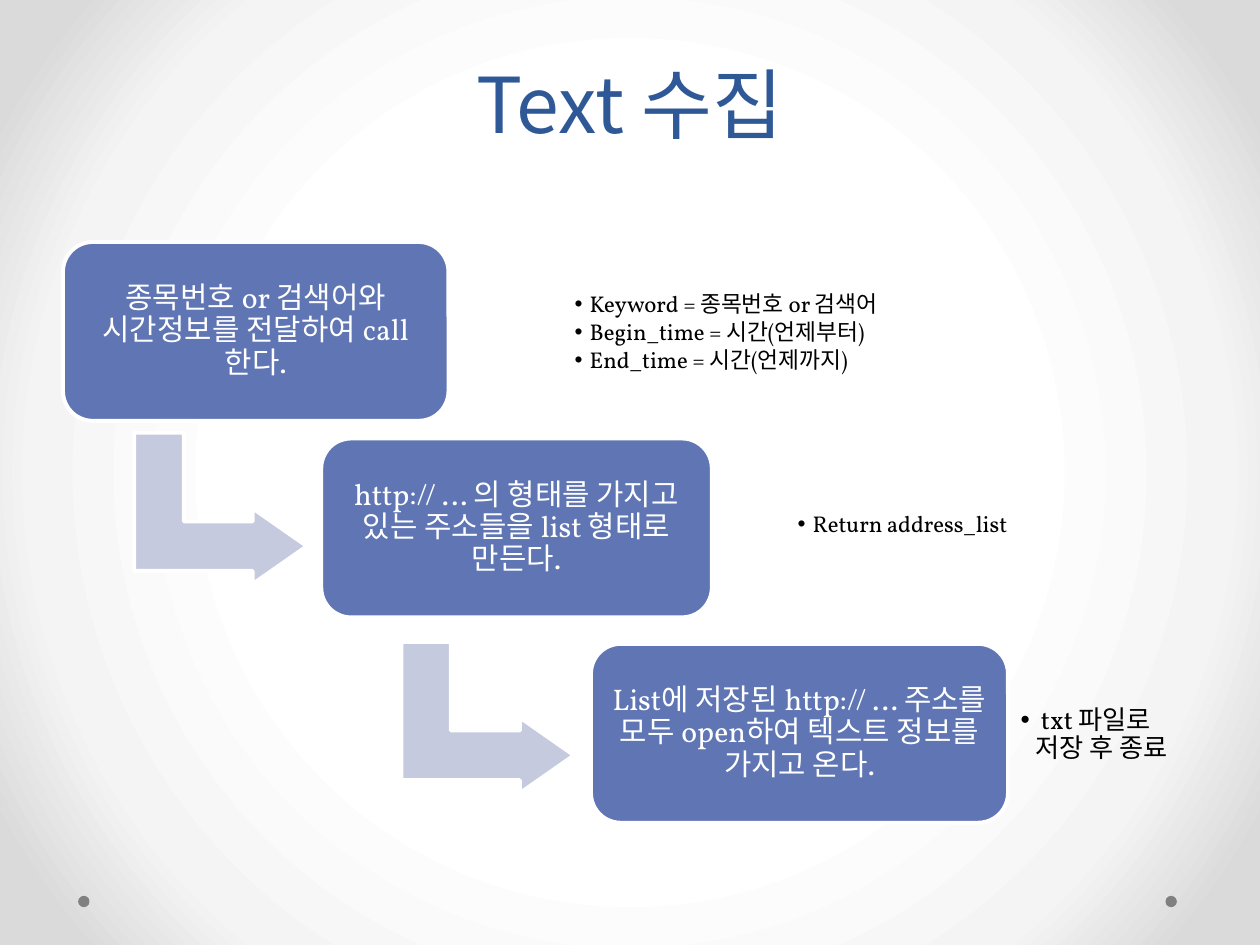
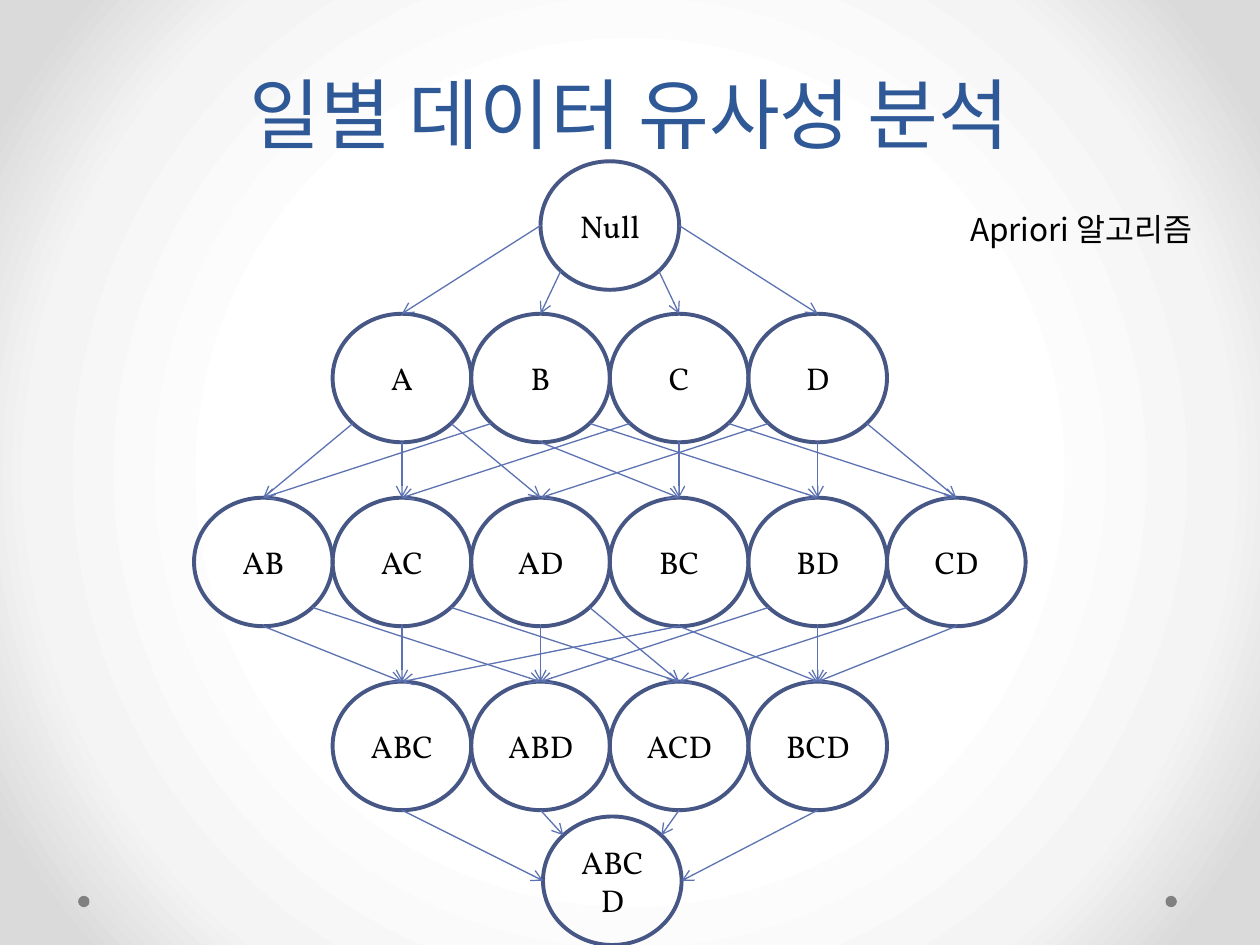
"""Build two slides: a text collection flow and an Apriori itemset lattice."""
from dataclasses import dataclass
from itertools import combinations
from math import cos, radians, sin

from lxml import etree
from pptx import Presentation
from pptx import util as u
from pptx.dml.color import RGBColor
from pptx.enum import shapes, text
from pptx.oxml.ns import qn


@dataclass(frozen=True)
class Theme:
    """Colours, fonts and type sizes of the deck."""
    title: str = "2F5897"
    box: str = "6076B4"
    arrow: str = "C5CADE"
    ring: str = "475785"
    link: str = "5C72B2"
    dot: str = "808080"
    white: str = "FFFFFF"
    black: str = "000000"
    backdrop: tuple = ((50, "FFFFFF"), (76, "F4F4F4"), (92, "DADADA"))
    latin: str = "Vollkorn"
    korean: str = "Noto Sans CJK KR"
    title_size: int = 44
    title_leading: int = 58
    label_size: int = 18
    box_size: int = 17
    list_size: int = 13
    last_list_size: int = 15
    thick: float = 2.25
    thin: float = 0.75


def child(parent, tag, **attrs):
    """Append an XML child with the given attributes."""
    return etree.SubElement(parent, qn(tag), attrs)


def inches(*values):
    """Convert numbers to lengths."""
    return [u.Inches(v) for v in values]


class Deck:
    """Hold the theme and the current slide and draw elements on it."""

    def __init__(self, theme):
        """Start a presentation with the shared background."""
        self.t = theme
        self.prs = Presentation()
        self.prs.slide_width, self.prs.slide_height = inches(10, 7.5)
        self.s = None
        self.backdrop()

    def backdrop(self):
        """Give the master a radial gradient."""
        master = self.prs.slide_master
        master.background.fill.solid()
        solid = master.element.find(".//" + qn("p:bgPr")).find(qn("a:solidFill"))
        grad = etree.Element(qn("a:gradFill"), rotWithShape="1")
        stops = child(grad, "a:gsLst")
        for pos, color in self.t.backdrop:
            child(child(stops, "a:gs", pos=str(pos * 1000)), "a:srgbClr", val=color)
        circle = child(grad, "a:path", path="circle")
        child(circle, "a:fillToRect", l="50000", t="50000", r="50000", b="50000")
        solid.getparent().replace(solid, grad)

    def slide(self, layout, title, height):
        """Add a slide with its title and corner dots."""
        self.s = self.prs.slides.add_slide(self.prs.slide_layouts[layout])
        for x in (0.62, 9.25):
            self.shape(shapes.MSO_SHAPE.OVAL, (x, 7.11, 0.09, 0.09), fill=self.t.dot)
        sp = self.s.shapes.title
        self.place(sp, (0.5, 0, 9, height))
        tf = self.frame(sp, title, text.MSO_ANCHOR.BOTTOM)
        p = tf.paragraphs[0]
        p.line_spacing = u.Pt(self.t.title_leading)
        self.style(p, self.t.title_size, self.t.title, self.t.korean,
                   text.PP_ALIGN.CENTER)

    def place(self, sp, at):
        """Move and size a shape."""
        sp.left, sp.top, sp.width, sp.height = inches(*at)

    def frame(self, sp, words, anchor, inset=None):
        """Fill a text frame and set how it wraps."""
        tf = sp.text_frame
        tf.text = words
        tf.word_wrap = True
        tf.auto_size = text.MSO_AUTO_SIZE.NONE
        tf.vertical_anchor = anchor
        if inset is not None:
            tf.margin_left = tf.margin_right = u.Inches(inset)
            tf.margin_top = tf.margin_bottom = u.Inches(inset)
        return tf

    def style(self, p, size, color, latin, align=text.PP_ALIGN.LEFT):
        """Format a paragraph and its runs."""
        p.alignment = align
        for r in p.runs:
            r.font.size = u.Pt(size)
            r.font.bold = False
            r.font.color.rgb = RGBColor.from_string(color)
            r.font.name = latin
            child(r.font._element, "a:ea", typeface=self.t.korean)

    def shape(self, kind, at, fill=None, line=None):
        """Add a flat preset shape."""
        sp = self.s.shapes.add_shape(kind, *inches(*at))
        sp.shadow.inherit = False
        if fill:
            sp.fill.solid()
            sp.fill.fore_color.rgb = RGBColor.from_string(fill)
        else:
            sp.fill.background()
        if line:
            sp.line.color.rgb = RGBColor.from_string(line)
            sp.line.width = u.Pt(self.t.thick)
        else:
            sp.line.fill.background()
        return sp

    def step(self, at, words):
        """Add a rounded process box."""
        sp = self.shape(shapes.MSO_SHAPE.ROUNDED_RECTANGLE, at, self.t.box, self.t.white)
        p = self.frame(sp, words, text.MSO_ANCHOR.MIDDLE, 0.07).paragraphs[0]
        p.line_spacing = 0.9
        self.style(p, self.t.box_size, self.t.white, self.t.latin, text.PP_ALIGN.CENTER)

    def bent_arrow(self, x, y):
        """Add an arrow that turns from down to right."""
        sp = self.shape(shapes.MSO_SHAPE.BENT_UP_ARROW, (x, y, 1.2, 1.37),
                        self.t.arrow, self.t.white)
        sp.rotation = 90
        for i, value in enumerate((0.328, 0.25, 0.358)):
            sp.adjustments[i] = value

    def bullets(self, sp, at, lines, size):
        """Turn a body placeholder into a bulleted list."""
        self.place(sp, at)
        tf = self.frame(sp, "\n".join(lines), text.MSO_ANCHOR.MIDDLE, 0.07)
        for p in tf.paragraphs:
            p.line_spacing = 0.9
            p.space_before = u.Pt(0)
            p.space_after = u.Pt(2)
            pPr = p._p.get_or_add_pPr()
            pPr.set("marL", str(u.Inches(0.12)))
            pPr.set("indent", str(u.Inches(-0.12)))
            child(pPr, "a:buChar", char="•")
            self.style(p, size, self.t.black, self.t.latin)

    def node(self, at, words):
        """Add a labelled ring."""
        sp = self.shape(shapes.MSO_SHAPE.OVAL, at, line=self.t.ring)
        tf = self.frame(sp, words, text.MSO_ANCHOR.MIDDLE)
        self.style(tf.paragraphs[0], self.t.label_size, self.t.black, self.t.latin,
                   text.PP_ALIGN.CENTER)
        return sp

    def link(self, start, end):
        """Add a thin arrow between two points."""
        line = self.s.shapes.add_connector(shapes.MSO_CONNECTOR.STRAIGHT, *start, *end)
        line.line.color.rgb = RGBColor.from_string(self.t.link)
        line.line.width = u.Pt(self.t.thin)
        child(line.line._get_or_add_ln(), "a:tailEnd", type="arrow")
        child(line._element.spPr, "a:effectLst")

    def note(self, at, words):
        """Add a plain text box."""
        sp = self.s.shapes.add_textbox(*inches(*at))
        tf = self.frame(sp, words, text.MSO_ANCHOR.TOP)
        self.style(tf.paragraphs[0], self.t.label_size, self.t.black, self.t.korean)


COMPASS = {"E": 0, "SE": 45, "S": 90, "SW": 135, "W": 180, "NW": 225, "N": 270, "NE": 315}


def rim(sp, side):
    """Return the point of an ellipse on a compass side."""
    angle = radians(COMPASS[side])
    return (int(sp.left + sp.width / 2 * (1 + cos(angle))),
            int(sp.top + sp.height / 2 * (1 + sin(angle))))


def collection_slide(deck):
    """Show the three steps of text collection."""
    deck.slide(4, "Text 수집", 1.23)
    for x, y in ((1.15, 3.35), (3.27, 5.01)):
        deck.bent_arrow(x, y)
    steps = [
        ((0.5, 1.92, 3.06, 1.42), "종목번호 or 검색어와 시간정보를 전달하여 call한다."),
        ((2.55, 3.48, 3.1, 1.42),
         "http:// … 의 형태를 가지고 있는 주소들을 list 형태로 만든다."),
        ((4.69, 5.11, 3.31, 1.42),
         "List에 저장된 http:// … 주소를 모두 open하여 텍스트 정보를 가지고 온다."),
    ]
    for at, words in steps:
        deck.step(at, words)
    size = deck.t.list_size
    lists = [
        ((4.49, 2.07, 3.57, 1.15), ["Keyword = 종목번호 or 검색어",
                                    "Begin_time = 시간(언제부터)",
                                    "End_time = 시간(언제까지)"], size),
        ((6.26, 3.59, 2.58, 1.15), ["Return address_list"], size),
        ((8.03, 5.26, 1.47, 1.15), [" txt 파일로 저장 후 종료"], deck.t.last_list_size),
    ]
    *bodies, spare = list(deck.s.placeholders)[1:]
    for sp, (at, lines, points) in zip(bodies, lists):
        deck.bullets(sp, at, lines, points)
    spare.element.getparent().remove(spare.element)


def lattice_slide(deck):
    """Show how itemsets grow from the empty set."""
    deck.slide(5, "일별 데이터 유사성 분석", 1.31)
    width, height = 1.1, 1.02
    levels = []
    rows = ((1.28, 4.84), (2.49, 4.84), (3.95, 4.84), (5.41, 4.84), (6.48, 4.86))
    for count, (top, center) in enumerate(rows):
        names = ["".join(c) for c in combinations("ABCD", count)]
        left = center - len(names) * width / 2
        levels.append({
            name: deck.node((left + i * width, top, width, height), name or "Null")
            for i, name in enumerate(names)})

    exits = {"": "W SW SE E", "BC": "S S", "BD": "SW S", "CD": "SW S"}
    exits.update(dict.fromkeys("ABCD", "SW S SE"))
    exits.update(dict.fromkeys(("AB", "AC", "AD"), "S SE"))
    entries = dict(zip(levels[3], ("W", "NW", "NE", "E")))
    for upper, lower in zip(levels, levels[1:]):
        for name, sp in upper.items():
            targets = [lower[n] for n in lower if set(name) <= set(n)]
            for side, target in zip(exits.get(name, "S").split(), targets):
                deck.link(rim(sp, side), rim(target, entries.get(name, "N")))
    deck.note((7.6, 1.62, 2.28, 0.4), "Apriori 알고리즘")


def main():
    """Build and save the deck."""
    deck = Deck(Theme())
    collection_slide(deck)
    lattice_slide(deck)
    deck.prs.save("out.pptx")


if __name__ == "__main__":
    main()
